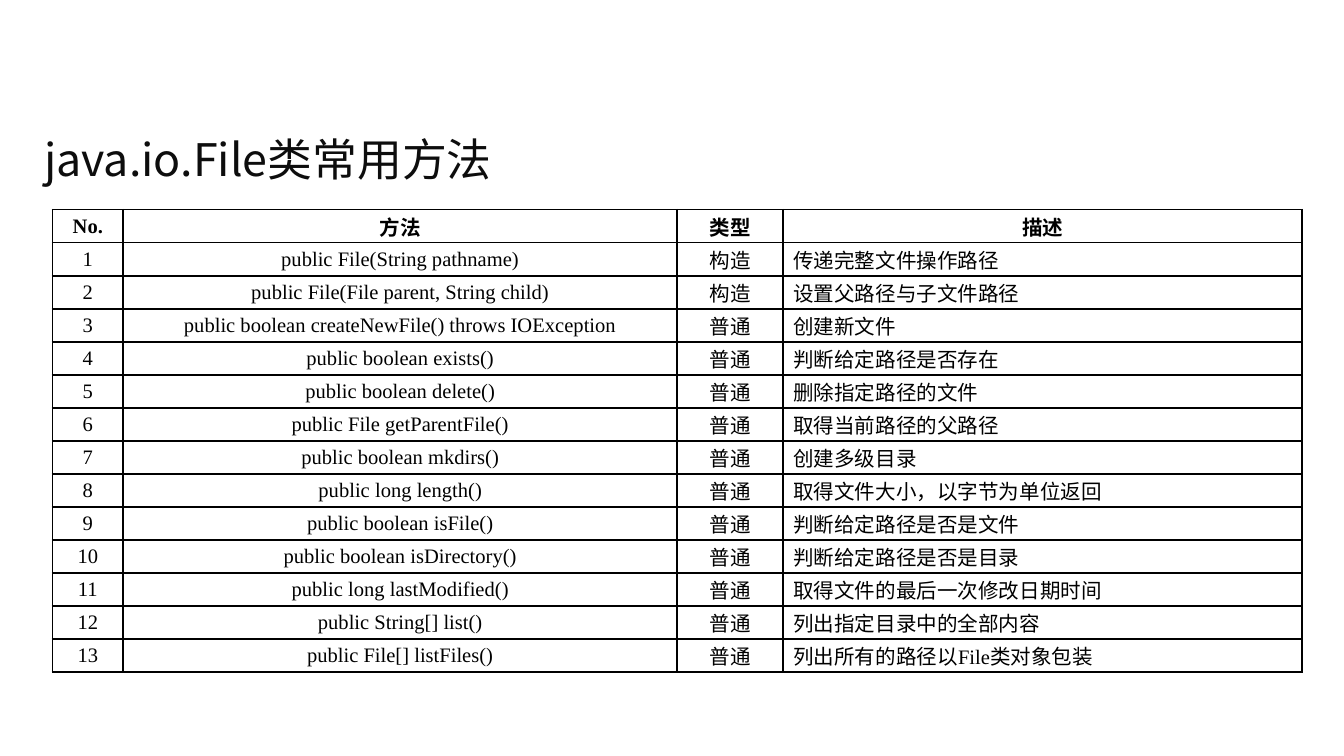
from lxml.etree import SubElement
from pptx import Presentation
from pptx.dml.color import RGBColor
from pptx.enum.text import MSO_ANCHOR, PP_ALIGN
from pptx.oxml.ns import qn
from pptx.util import Cm, Pt

BLACK = RGBColor(0x00, 0x00, 0x00)
TITLE_INK = RGBColor(0x0D, 0x0D, 0x0D)

HEADER = ("No.", "方法", "类型", "描述")
METHODS = [
    ("public File(String pathname)", "构造", "传递完整文件操作路径"),
    ("public File(File parent, String child)", "构造", "设置父路径与子文件路径"),
    ("public boolean createNewFile() throws IOException", "普通", "创建新文件"),
    ("public boolean exists()", "普通", "判断给定路径是否存在"),
    ("public boolean delete()", "普通", "删除指定路径的文件"),
    ("public File getParentFile()", "普通", "取得当前路径的父路径"),
    ("public boolean mkdirs()", "普通", "创建多级目录"),
    ("public long length()", "普通", "取得文件大小，以字节为单位返回"),
    ("public boolean isFile()", "普通", "判断给定路径是否是文件"),
    ("public boolean isDirectory()", "普通", "判断给定路径是否是目录"),
    ("public long lastModified()", "普通", "取得文件的最后一次修改日期时间"),
    ("public String[] list()", "普通", "列出指定目录中的全部内容"),
    ("public File[] listFiles()", "普通", "列出所有的路径以File类对象包装"),
]
COLUMN_WIDTHS = (1.34, 10.47, 2, 9.81)


class SlideWriter:
    chinese_font = "Noto Sans CJK SC"
    table_font = "Times New Roman"
    title_size = Pt(24)
    table_size = Pt(11)
    border_width = Pt(1)
    cell_margin = Cm(0.19)

    def __init__(self, slide):
        self.slide = slide

    def style(self, para, latin_font, size, color, bold=False):
        font = para.font
        font.name = latin_font
        font.size = size
        font.bold = bold
        font.color.rgb = color
        properties = para._p.pPr.find(qn("a:defRPr"))
        SubElement(properties, qn("a:ea"), typeface=self.chinese_font)

    def title(self, text, left, top, width, height):
        box = self.slide.shapes.title
        box.left, box.top, box.width, box.height = map(Cm, (left, top, width, height))
        frame = box.text_frame
        frame.text = text
        frame.vertical_anchor = MSO_ANCHOR.MIDDLE
        para = frame.paragraphs[0]
        para.alignment = PP_ALIGN.LEFT
        self.style(para, self.chinese_font, self.title_size, TITLE_INK)

    def borders(self, cell):
        properties = cell._tc.get_or_add_tcPr()
        for position, side in enumerate(("a:lnL", "a:lnR", "a:lnT", "a:lnB")):
            line = SubElement(properties, qn(side), w=str(self.border_width))
            properties.insert(position, line)
            fill = SubElement(line, qn("a:solidFill"))
            SubElement(fill, qn("a:srgbClr"), val=str(BLACK))

    def cell(self, cell, text, alignment, bold):
        cell.text = text
        cell.fill.background()
        cell.vertical_anchor = MSO_ANCHOR.MIDDLE
        cell.margin_left = cell.margin_right = self.cell_margin
        cell.margin_top = cell.margin_bottom = 0
        para = cell.text_frame.paragraphs[0]
        para.alignment = alignment
        self.style(para, self.table_font, self.table_size, BLACK, bold)
        self.borders(cell)

    def table(self, rows, widths, left, top, height):
        frame = self.slide.shapes.add_table(
            len(rows), len(widths), Cm(left), Cm(top), Cm(sum(widths)), Cm(height))
        table = frame.table
        for column, width in zip(table.columns, widths):
            column.width = Cm(width)
        for row_index, row in enumerate(rows):
            is_header = row_index == 0
            for column_index, text in enumerate(row):
                is_description = column_index == len(widths) - 1 and not is_header
                alignment = PP_ALIGN.JUSTIFY if is_description else PP_ALIGN.CENTER
                self.cell(table.cell(row_index, column_index), text, alignment, is_header)


def main():
    deck = Presentation()
    deck.slide_width, deck.slide_height = Cm(25.4), Cm(14.28)
    writer = SlideWriter(deck.slides.add_slide(deck.slide_layouts[5]))
    writer.title("java.io.File类常用方法", 0.58, 2.18, 24.21, 1.63)
    numbered = [(str(number), *method) for number, method in enumerate(METHODS, 1)]
    writer.table([HEADER, *numbered], COLUMN_WIDTHS, 0.99, 3.96, 8.74)
    deck.save("out.pptx")


if __name__ == "__main__":
    main()
